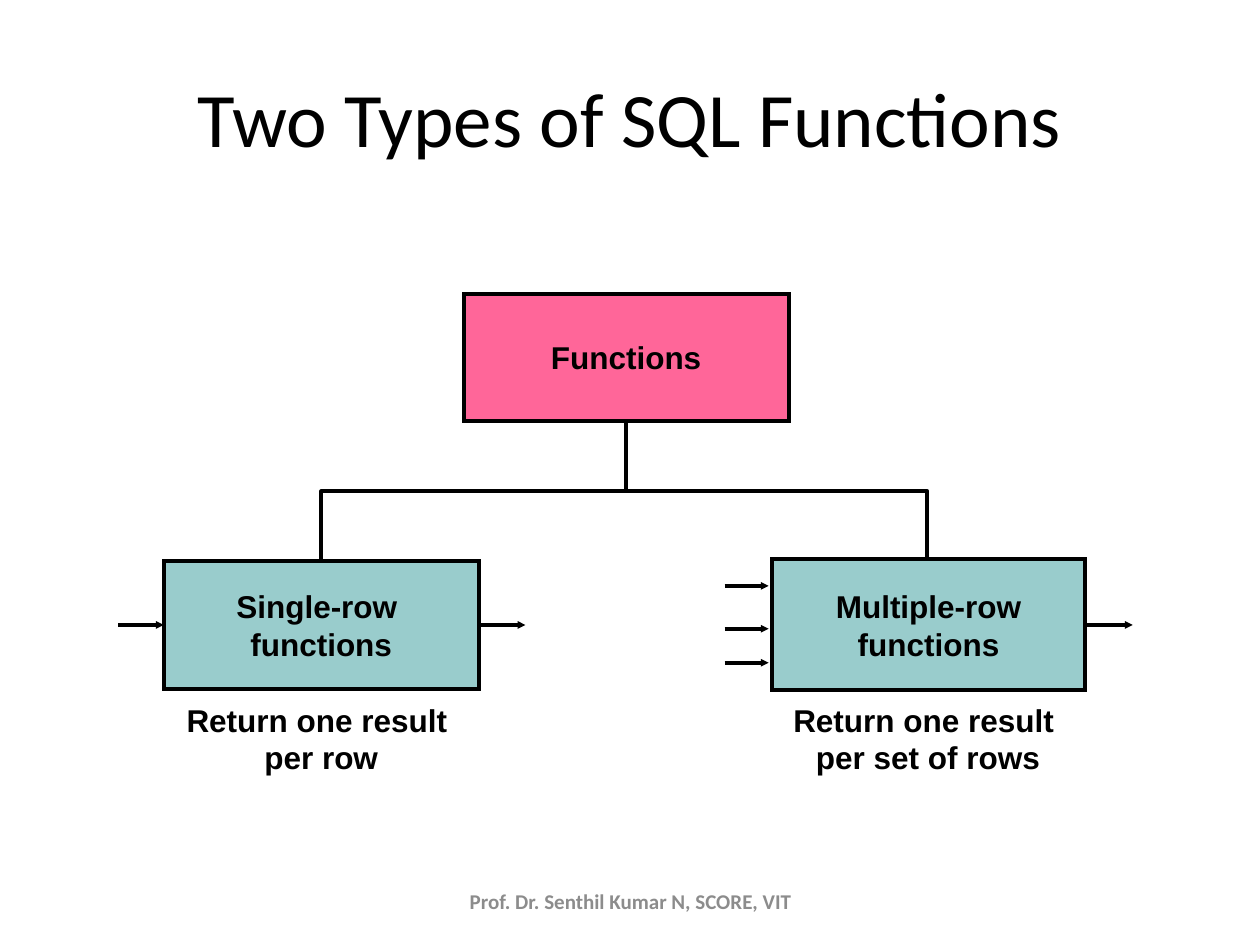
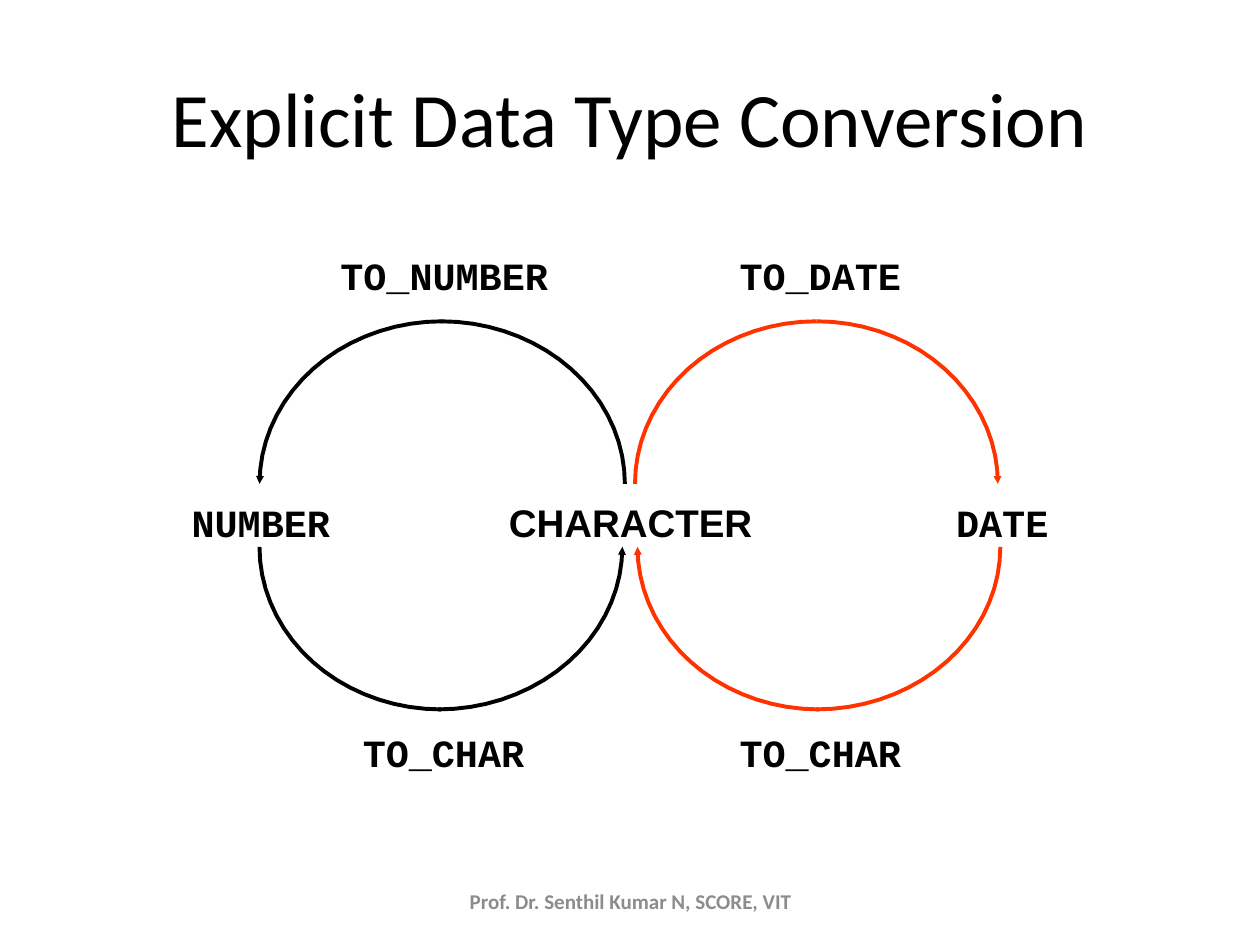
import math

from pptx import Presentation
from pptx import util as u
from pptx.dml.color import RGBColor
from pptx.enum import shapes, text
from pptx.oxml.ns import qn
from lxml import etree

BLACK, GREY, TEAL, PINK, RED = "000000", "8C8C8C", "99CCCC", "FF6699", "FF3300"
FOOTER = "Prof. Dr. Senthil Kumar N, SCORE, VIT"

deck = Presentation()
deck.slide_width, deck.slide_height = u.Inches(10), u.Inches(7.5)


def write(shape, lines, size, font, color=BLACK, bold=True, wrap=True,
          anchor=text.MSO_ANCHOR.MIDDLE):
    """Fill a shape with centred paragraphs of one style."""
    frame = shape.text_frame
    frame.word_wrap = wrap
    frame.vertical_anchor = anchor
    frame.text = "\n".join(lines)
    for para in frame.paragraphs:
        para.alignment = text.PP_ALIGN.CENTER
        para.font.size, para.font.name, para.font.bold = u.Pt(size), font, bold
        para.font.color.rgb = RGBColor.from_string(color)


def outline(shape, color=BLACK, arrow_end=None, sharp=False):
    """Draw a shadowless line; arrow_end is None, headEnd or tailEnd."""
    shape.line.color.rgb = RGBColor.from_string(color)
    shape.line.width = u.Pt(2.25)
    stroke = shape.line._get_or_add_ln()
    if sharp:
        etree.SubElement(stroke, qn("a:miter"), lim="800000")
    if arrow_end:
        etree.SubElement(stroke, qn("a:" + arrow_end), type="triangle", w="sm", len="sm")
    etree.SubElement(shape._element.spPr, qn("a:effectLst"))


# Title and footer on both slides
pages = []
for title in ("Two Types of SQL Functions", "Explicit Data Type Conversion"):
    page = deck.slides.add_slide(deck.slide_layouts[6])
    box = page.shapes.add_textbox(u.Inches(0.5), u.Inches(0.3), u.Inches(9), u.Inches(1.25))
    write(box, [title], 44, "Calibri", bold=False)
    box = page.shapes.add_textbox(u.Inches(3.42), u.Inches(6.95), u.Inches(3.17), u.Inches(0.4))
    write(box, [FOOTER], 12, "Calibri", GREY)
    pages.append(page)
tree_page, conversion_page = pages

# Slide 1: bracket under the root
bracket = tree_page.shapes.build_freeform(u.Inches(2.55), u.Inches(4.44))
bracket.add_line_segments(
    [(u.Inches(x), u.Inches(y)) for x, y in ((2.55, 3.9), (7.36, 3.9), (7.36, 4.48))],
    close=False)
bracket = bracket.convert_to_shape()
bracket.fill.background()
outline(bracket)

# Slide 1: function boxes
boxes = []
for lines, color, left, top, width, height in (
        (["Functions"], PINK, 3.68, 2.33, 2.58, 1.01),
        (["Single-row ", "functions"], TEAL, 1.3, 4.45, 2.5, 1.02),
        (["Multiple-row", "functions"], TEAL, 6.13, 4.44, 2.48, 1.04)):
    box = tree_page.shapes.add_shape(
        shapes.MSO_SHAPE.RECTANGLE, u.Inches(left), u.Inches(top),
        u.Inches(width), u.Inches(height))
    box.fill.solid()
    box.fill.fore_color.rgb = RGBColor.from_string(color)
    outline(box, sharp=True)
    write(box, lines, 18, "Arial", wrap=False)
    boxes.append(box)
root, single_row, multiple_row = boxes

# Slide 1: stem and the arrows for rows going in and results coming out
for x1, y1, x2, y2, source, target, arrow_end in (
        (4.97, 3.34, 4.97, 3.9, root, None, None),
        (0.94, 4.96, 1.3, 4.96, None, single_row, "tailEnd"),
        (3.8, 4.96, 4.17, 4.96, single_row, None, "tailEnd"),
        (8.61, 4.96, 8.99, 4.96, multiple_row, None, "tailEnd"),
        (5.75, 4.65, 6.1, 4.65, None, None, "tailEnd"),
        (5.75, 4.99, 6.1, 4.99, None, None, "tailEnd"),
        (5.75, 5.26, 6.1, 5.26, None, None, "tailEnd")):
    line = tree_page.shapes.add_connector(
        shapes.MSO_CONNECTOR.STRAIGHT, u.Inches(x1), u.Inches(y1), u.Inches(x2), u.Inches(y2))
    if source:
        line.begin_connect(source, 2 if source is root else 3)
    if target:
        line.end_connect(target, 1)
    outline(line, arrow_end=arrow_end)

# Slide 1: captions
for last_line, left, width in (("per row", 0.85, 3.4), ("per set of rows", 5.44, 3.85)):
    box = tree_page.shapes.add_textbox(
        u.Inches(left), u.Inches(5.59), u.Inches(width), u.Inches(0.54))
    write(box, ["Return one result ", last_line], 18, "Arial", wrap=False)

# Slide 2: quarter ellipses; quadrants run counterclockwise from upper right (0)
HEIGHT, STEPS = 1.29, 18
for quadrant, left, width, color, arrow_end in (
        (3, 3.48, 1.46, BLACK, "tailEnd"),
        (2, 2.06, 1.44, BLACK, None),
        (0, 3.5, 1.46, BLACK, None),
        (1, 2.06, 1.45, BLACK, "tailEnd"),
        (3, 6.48, 1.46, RED, None),
        (2, 5.06, 1.44, RED, "headEnd"),
        (0, 6.48, 1.44, RED, "headEnd"),
        (1, 5.04, 1.44, RED, None)):
    center_x = left if quadrant in (0, 3) else left + width
    center_y = 2.55 + HEIGHT if quadrant < 2 else 4.34
    angles = [(quadrant + step / STEPS) * math.pi / 2 for step in range(STEPS + 1)]
    points = [(u.Inches(center_x + width * math.cos(angle)),
               u.Inches(center_y - HEIGHT * math.sin(angle))) for angle in angles]
    arc = conversion_page.shapes.build_freeform(*points[0])
    arc.add_line_segments(points[1:], close=False)
    arc = arc.convert_to_shape()
    arc.fill.background()
    outline(arc, color, arrow_end)

# Slide 2: data types and conversion functions
for label, font, left, top, width in (
        ("TO_NUMBER", "Courier New", 2.42, 1.95, 2.21),
        ("TO_DATE", "Courier New", 5.65, 1.95, 1.72),
        ("NUMBER", "Courier New", 1.38, 3.91, 1.38),
        ("CHARACTER", "Arial", 3.58, 3.91, 2.85),
        ("DATE", "Courier New", 7.44, 3.91, 1.03),
        ("TO_CHAR", "Courier New", 2.65, 5.74, 1.74),
        ("TO_CHAR", "Courier New", 5.75, 5.74, 1.52)):
    box = conversion_page.shapes.add_textbox(
        u.Inches(left), u.Inches(top), u.Inches(width), u.Inches(0.47))
    write(box, [label], 22, font, anchor=text.MSO_ANCHOR.TOP)

deck.save("out.pptx")
